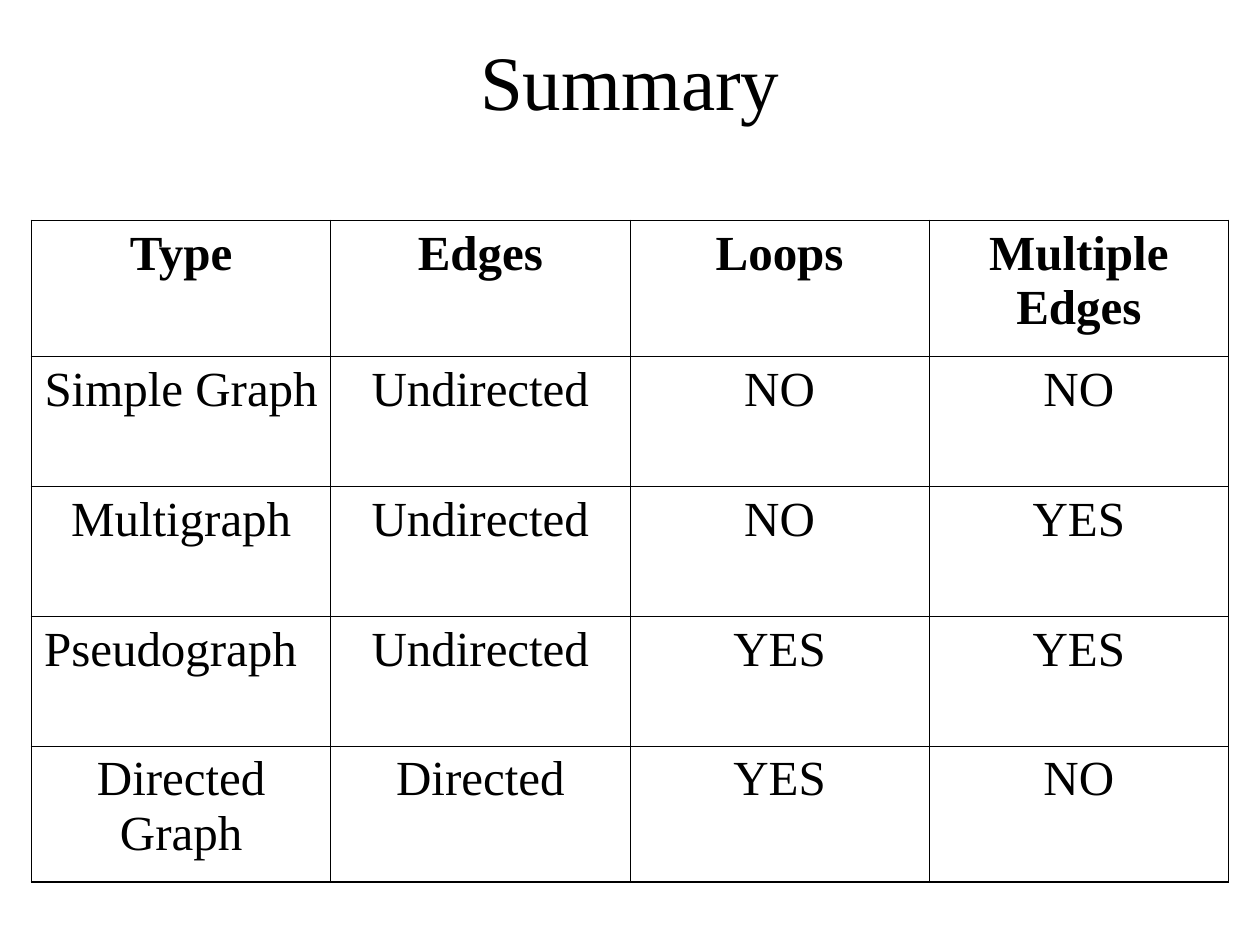
import lxml.etree
import pptx
import pptx.dml.color
import pptx.enum.text
import pptx.oxml.ns
import pptx.util

Inches, Pt = pptx.util.Inches, pptx.util.Pt
ALIGN, ANCHOR = pptx.enum.text.PP_ALIGN, pptx.enum.text.MSO_ANCHOR
FONT, BLACK = "Times New Roman", "000000"
INNER, OUTER = 0.45, 1.08  # border widths in points

SUMMARY = [
    ["Type", "Edges", "Loops", "Multiple Edges"],
    ["Simple Graph", "Undirected", "NO", "NO"],
    ["Multigraph", "Undirected", "NO", "YES"],
    ["Pseudograph", "Undirected", "YES", "YES"],
    ["Directed Graph", "Directed", "YES", "NO"],
]
ROW_HEIGHTS = [1.08, 1.03, 1.03, 1.03, 1.08]
LEFT_ALIGNED = {"Pseudograph"}


def color(value):
    return pptx.dml.color.RGBColor.from_string(value)


def write(frame, text, size=28, bold=False, align=ALIGN.CENTER):
    frame.word_wrap = True
    paragraph = frame.paragraphs[0]
    paragraph.alignment = align
    run = paragraph.add_run()
    run.text = text
    run.font.name, run.font.size, run.font.bold = FONT, Pt(size), bold
    run.font.color.rgb = color(BLACK)


def set_borders(cell, widths):
    """Draw the borders; widths maps L, R, T and B to points."""
    properties = cell._tc.get_or_add_tcPr()
    qn = pptx.oxml.ns.qn
    for position, side in enumerate("LRTB"):
        line = lxml.etree.Element(qn(f"a:ln{side}"), w=str(int(Pt(widths[side]))))
        fill = lxml.etree.SubElement(line, qn("a:solidFill"))
        lxml.etree.SubElement(fill, qn("a:srgbClr"), val=BLACK)
        properties.insert(position, line)  # borders come before the fill


def add_title(slide, text):
    title = slide.shapes.title
    title.left, title.top = Inches(0.5), Inches(0.17)
    title.width, title.height = Inches(9), Inches(0.92)
    title.text_frame.vertical_anchor = ANCHOR.MIDDLE
    write(title.text_frame, text, size=44)


def add_summary_table(slide, left, top, width):
    last_row, last_column = len(SUMMARY) - 1, len(SUMMARY[0]) - 1
    table = slide.shapes.add_table(
        last_row + 1, last_column + 1, Inches(left), Inches(top),
        Inches(width), Inches(sum(ROW_HEIGHTS))).table
    table.first_row = table.horz_banding = False

    for row, height in zip(table.rows, ROW_HEIGHTS):
        row.height = Inches(height)

    for r, entries in enumerate(SUMMARY):
        for c, entry in enumerate(entries):
            cell = table.cell(r, c)
            cell.fill.background()
            align = ALIGN.LEFT if entry in LEFT_ALIGNED else ALIGN.CENTER
            write(cell.text_frame, entry, bold=r == 0, align=align)
            on_edge = {"L": c == 0, "R": c == last_column,
                       "T": r == 0, "B": r == last_row}
            set_borders(cell, {side: OUTER if edge else INNER
                               for side, edge in on_edge.items()})


def main():
    deck = pptx.Presentation()
    deck.slide_width, deck.slide_height = Inches(10), Inches(7.5)
    slide = deck.slides.add_slide(deck.slide_layouts[5])  # title only
    add_title(slide, "Summary")
    add_summary_table(slide, left=0.25, top=1.75, width=9.5)
    deck.save("out.pptx")


if __name__ == "__main__":
    main()
